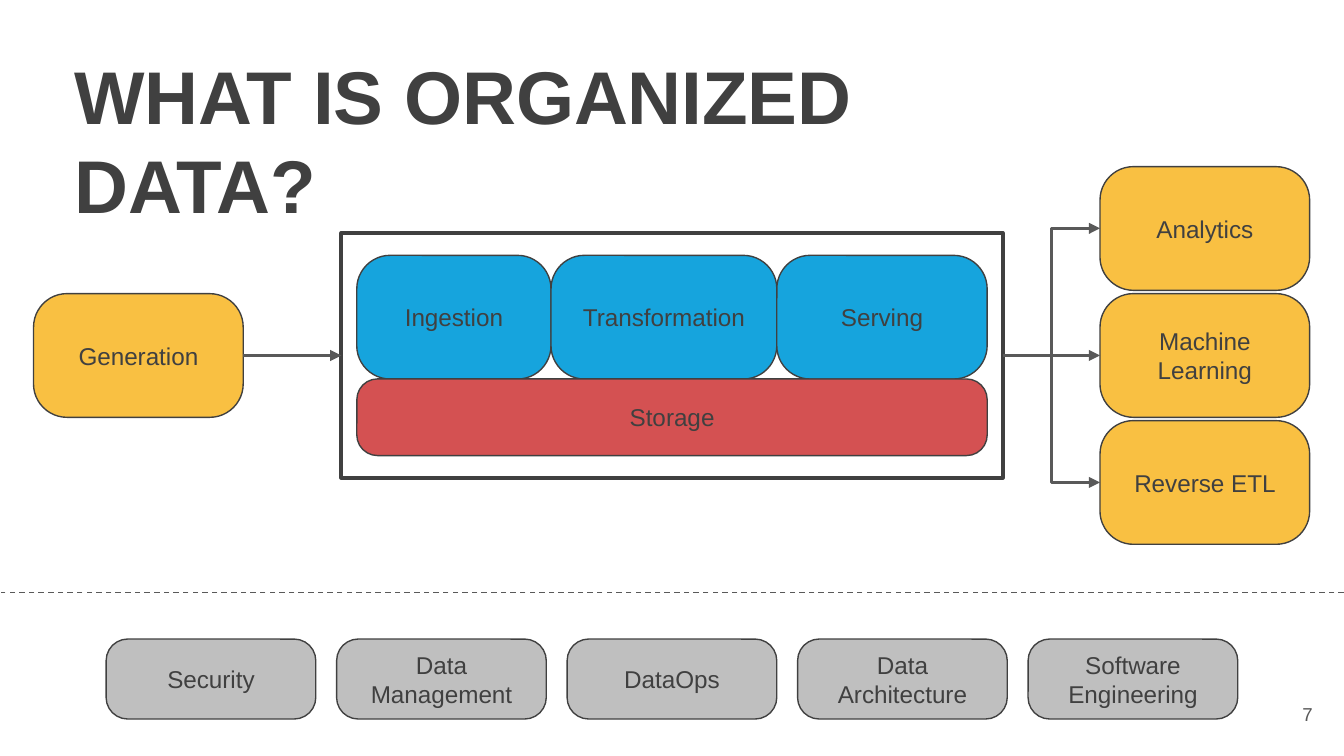
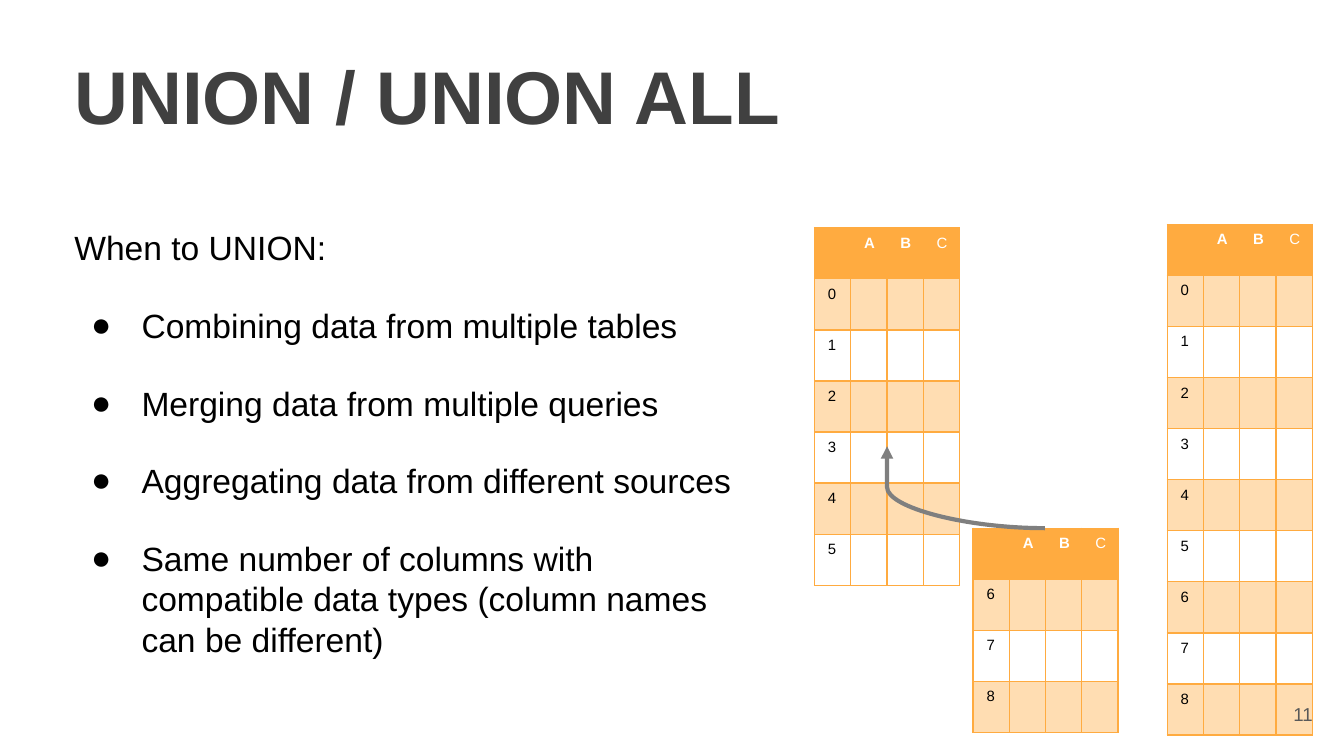
import pptx
import pptx.dml.color
import pptx.enum.dml
import pptx.enum.shapes
import pptx.enum.text
import pptx.oxml
import pptx.oxml.ns
import pptx.util

EMU_PER_PX = 4572  # 200 px to the inch
FONT = "Arial"
COLOURS = {
    "ink": "404040",
    "black": "000000",
    "white": "FFFFFF",
    "connector": "595959",
    "union_arrow": "7F7F7F",
    "endpoint": "F9C042",
    "stage": "16A4DD",
    "storage": "D45152",
    "undercurrent": "BFBFBF",
    "table": "FFAB40",
}
ALIGN = pptx.enum.text.PP_ALIGN
ANCHOR = pptx.enum.text.MSO_ANCHOR
SHAPE = pptx.enum.shapes.MSO_SHAPE
CONNECTOR = pptx.enum.shapes.MSO_CONNECTOR
TOP, LEFT, BOTTOM, RIGHT = range(4)


def px(length):
    return pptx.util.Emu(length * EMU_PER_PX)


def rgb(name):
    return pptx.dml.color.RGBColor.from_string(COLOURS[name])


def add_xml(parent, markup):
    """Append one DrawingML element, written without its namespace."""
    namespace = pptx.oxml.ns.nsdecls("a")
    tag, rest = markup.split(" ", 1)
    parent.append(pptx.oxml.parse_xml(f"{tag} {namespace} {rest}"))


class SlideBuilder:
    def __init__(self, presentation):
        self.presentation = presentation
        self.slide = None

    def start_slide(self, title):
        self.slide = self.presentation.slides.add_slide(self.presentation.slide_layouts[6])
        self.text((91, 54, 1554, 364), title, 40, "ink", bold=True)

    def page_number(self, number):
        self.text((1853, 1020, 120, 86), number, 10, "connector",
                  align=ALIGN.RIGHT, anchor=ANCHOR.MIDDLE)

    def format_runs(self, paragraph, size, colour, bold=False):
        for run in paragraph.runs:
            run.font.name = FONT
            run.font.size = pptx.util.Pt(size)
            run.font.bold = bold
            run.font.color.rgb = rgb(colour)

    def set_frame(self, text_frame, anchor, margin=20):
        text_frame.word_wrap = True
        text_frame.vertical_anchor = anchor
        text_frame.margin_left = text_frame.margin_right = px(margin)
        text_frame.margin_top = text_frame.margin_bottom = px(margin)

    def text(self, box, text, size, colour, bold=False, align=ALIGN.LEFT, anchor=ANCHOR.TOP):
        text_frame = self.slide.shapes.add_textbox(*map(px, box)).text_frame
        self.set_frame(text_frame, anchor)
        text_frame.text = text
        for paragraph in text_frame.paragraphs:
            paragraph.alignment = align
            self.format_runs(paragraph, size, colour, bold)
        return text_frame

    def bullet_list(self, box, heading, items):
        text_frame = self.text(box, heading, 18, "black")
        for item in items:
            paragraph = text_frame.add_paragraph()
            paragraph.text = item
            properties = paragraph._p.get_or_add_pPr()
            properties.set("marL", str(px(100)))
            properties.set("indent", str(px(-75)))
            add_xml(properties, f'<a:buClr ><a:srgbClr val="{COLOURS["black"]}"/></a:buClr>')
            add_xml(properties, f'<a:buFont typeface="{FONT}"/>')
            add_xml(properties, '<a:buChar char="●"/>')
            paragraph.space_before = pptx.util.Pt(20)
            self.format_runs(paragraph, 18, "black")
        paragraph.space_after = pptx.util.Pt(10)

    def shape(self, kind, box, fill=None, line_width=0.75):
        shape = self.slide.shapes.add_shape(kind, *map(px, box))
        shape.shadow.inherit = False
        if fill:
            shape.fill.solid()
            shape.fill.fore_color.rgb = rgb(fill)
        else:
            shape.fill.background()
        shape.line.color.rgb = rgb("ink")
        shape.line.width = pptx.util.Pt(line_width)
        return shape

    def label_box(self, box, label, fill):
        shape = self.shape(SHAPE.ROUNDED_RECTANGLE, box, fill)
        shape.adjustments[0] = 0.27
        self.set_frame(shape.text_frame, ANCHOR.MIDDLE)
        shape.text_frame.text = label
        paragraph = shape.text_frame.paragraphs[0]
        paragraph.alignment = ALIGN.CENTER
        self.format_runs(paragraph, 13, "ink")
        return shape

    def connector(self, kind, ends, colour="connector", width=1.5,
                  dashed=False, arrow=None, bend=None):
        """Draw a line; arrow is headEnd or tailEnd, bend the place of the turn."""
        connector = self.slide.shapes.add_connector(kind, *map(px, ends))
        connector.line.color.rgb = rgb(colour)
        connector.line.width = pptx.util.Pt(width)
        if dashed:
            connector.line.dash_style = pptx.enum.dml.MSO_LINE.DASH
        properties = connector.element.spPr
        if arrow:
            add_xml(properties.find(pptx.oxml.ns.qn("a:ln")), f'<a:{arrow} type="triangle"/>')
        if bend is not None:
            adjustments = properties.find(pptx.oxml.ns.qn("a:prstGeom")).get_or_add_avLst()
            add_xml(adjustments, f'<a:gd name="adj1" fmla="val {bend}"/>')
        add_xml(properties, "<a:effectLst />")
        return connector

    def join(self, kind, start, end):
        """Run an arrow from the right side of start to the left side of end."""
        connector = self.connector(kind, (0, 0, 0, 0), arrow="tailEnd")
        connector.begin_connect(start, RIGHT)
        connector.end_connect(end, LEFT)

    def style_cell(self, cell, text, filled, opacity, colour, bold):
        cell.margin_left = cell.margin_right = px(20)
        cell.margin_top = cell.margin_bottom = px(10)
        paragraph = cell.text_frame.paragraphs[0]
        if text:
            paragraph.text = text
            self.format_runs(paragraph, 8, colour, bold)
        else:
            add_xml(paragraph._p, '<a:endParaRPr sz="800"/>')
        properties = cell._tc.get_or_add_tcPr()
        solid = '<a:solidFill><a:srgbClr val="%s"/></a:solidFill>' % COLOURS["table"]
        for edge in ("lnL", "lnR", "lnT", "lnB"):
            add_xml(properties, f'<a:{edge} w="9525">{solid}</a:{edge}>')
        if not filled:
            cell.fill.background()
            return
        cell.fill.solid()
        cell.fill.fore_color.rgb = rgb("table")
        if opacity < 100:
            fill_colour = properties.find(pptx.oxml.ns.qn("a:solidFill"))[0]
            add_xml(fill_colour, f'<a:alpha val="{opacity * 1000}"/>')

    def indexed_table(self, left, top, indexes):
        """Draw columns A to C, empty, beside a column of row indexes."""
        column_width, row_height = 54, 76
        header = ["", "A", "B", "C"]
        rows = [header] + [[str(index), "", "", ""] for index in indexes]
        table = self.slide.shapes.add_table(
            len(rows), len(header), px(left), px(top),
            px(column_width * len(header)), px(row_height * len(rows))).table
        table.first_row = table.horz_banding = False
        for column in table.columns:
            column.width = px(column_width)
        for row_number, texts in enumerate(rows):
            table.rows[row_number].height = px(row_height)
            is_header = row_number == 0
            for column_number, text in enumerate(texts):
                self.style_cell(
                    table.cell(row_number, column_number), text,
                    filled=is_header or row_number % 2 == 1,
                    opacity=100 if is_header else 40,
                    colour="white" if is_header else "black",
                    bold=text in ("A", "B"))


def build_organized_data(builder):
    builder.start_slide("WHAT IS ORGANIZED DATA?")
    generation = builder.label_box((50, 437, 312, 184), "Generation", "endpoint")
    uses = [
        builder.label_box((1637, top, 312, 184), label, "endpoint")
        for top, label in [(248, "Analytics"), (437, "Machine Learning"), (626, "Reverse ETL")]
    ]

    undercurrents = ["Security", "Data Management", "DataOps",
                     "Data Architecture", "Software Engineering"]
    builder.slide.shapes.add_group_shape([
        builder.label_box((158 + position * 343, 951, 312, 119), label, "undercurrent")
        for position, label in enumerate(undercurrents)
    ])

    left = 531
    for label, width in [("Ingestion", 289), ("Transformation", 336), ("Serving", 313)]:
        builder.label_box((left, 380, width, 184), label, "stage")
        left += width
    builder.label_box((531, 564, 938, 114), "Storage", "storage")

    lifecycle = builder.shape(SHAPE.RECTANGLE, (508, 347, 984, 364), line_width=2.25)
    builder.join(CONNECTOR.STRAIGHT, generation, lifecycle)
    for use in uses:
        builder.join(CONNECTOR.ELBOW, lifecycle, use)
    builder.connector(CONNECTOR.STRAIGHT, (2000, 882, 2, 882), width=0.75, dashed=True)
    builder.page_number("7")


def build_union(builder):
    builder.start_slide("UNION / UNION ALL")
    builder.bullet_list((91, 318, 1054, 488), "When to UNION:", [
        "Combining data from multiple tables",
        "Merging data from multiple queries",
        "Aggregating data from different sources",
        "Same number of columns with compatible data types (column names can be different)",
    ])
    builder.indexed_table(1212, 339, range(6))
    builder.indexed_table(1448, 786, range(6, 9))
    builder.indexed_table(1737, 334, range(9))
    builder.connector(CONNECTOR.CURVE, (1320, 664, 1555, 786), "union_arrow", 2.25,
                      arrow="headEnd", bend=0)
    builder.page_number("11")


def main():
    presentation = pptx.Presentation()
    presentation.slide_width = px(2000)
    presentation.slide_height = px(1125)
    builder = SlideBuilder(presentation)
    build_organized_data(builder)
    build_union(builder)
    presentation.save("out.pptx")


if __name__ == "__main__":
    main()
